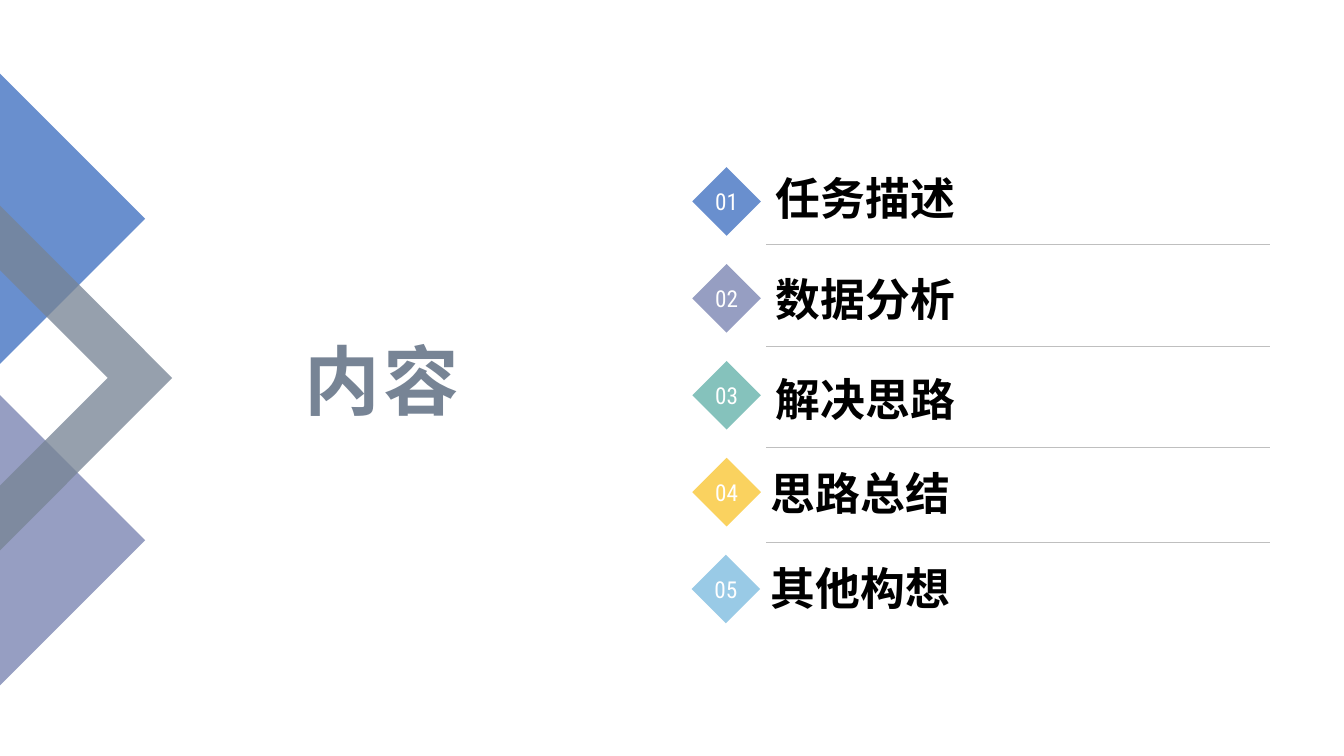
from lxml import etree
from pptx import Presentation
from pptx.dml.color import RGBColor
from pptx.enum.shapes import MSO_CONNECTOR, MSO_SHAPE
from pptx.enum.text import MSO_ANCHOR, MSO_AUTO_SIZE, PP_ALIGN
from pptx.oxml.ns import qn
from pptx.util import Pt

DIAMOND, STRAIGHT = MSO_SHAPE.DIAMOND, MSO_CONNECTOR.STRAIGHT
MIDDLE, BOTTOM = MSO_ANCHOR.MIDDLE, MSO_ANCHOR.BOTTOM
LEFT, CENTER, RIGHT = PP_ALIGN.LEFT, PP_ALIGN.CENTER, PP_ALIGN.RIGHT
NO_AUTOFIT = MSO_AUTO_SIZE.NONE

COLORS = {
    "blue": "698FCE", "purple": "969EC2", "teal": "85C2BC", "yellow": "FAD25F",
    "sky": "99CAE6", "slate": "778495", "rule": "BFBFBF", "black": "000000",
    "white": "FFFFFF",
}
TITLE = "内容"
# heading, diamond colour, diamond left, heading left, heading top
AGENDA = [
    ("任务描述", "blue", 494.5, 547.2, 140.4),
    ("数据分析", "purple", 494.5, 547.2, 212.4),
    ("解决思路", "teal", 494.5, 547.2, 283.7),
    ("思路总结", "yellow", 494.5, 543.6, 350.6),
    ("其他构想", "sky", 494, 543.6, 419),
]
RULE_TOPS = [174.2, 247, 319.7, 387.4]
RULE_LEFT, RULE_RIGHT = 547.2, 907.2
DIAMOND_TOP, DIAMOND_STEP, DIAMOND_SIZE = 119.4, 69.2, 49
# colour, opacity in percent, corners
EDGE_SHAPES = [
    ("purple", 100, [(0, 489.6), (0, 282.2), (103.7, 385.9)]),
    ("blue", 100, [(0, 52.6), (103.7, 156.2), (0, 259.9)]),
    ("slate", 77, [(123, 270), (0, 393.1), (0, 347), (77, 270), (0, 193), (0, 146.9)]),
]


def rgb(color):
    return RGBColor.from_string(COLORS[color])


def paint(shape, color, opacity=100):
    shape.shadow.inherit = False
    shape.fill.solid()
    shape.fill.fore_color.rgb = rgb(color)
    shape.line.fill.background()
    if opacity < 100:
        fill = shape._element.spPr.find(qn("a:solidFill"))
        etree.SubElement(fill[0], qn("a:alpha"), val=str(opacity * 1000))


def write(shape, text, font, size, color, align, anchor, bold=False, wrap=True):
    """Set one line of styled text and return its run."""
    frame = shape.text_frame
    frame.text = text
    frame.word_wrap = wrap
    frame.auto_size = NO_AUTOFIT
    frame.vertical_anchor = anchor
    paragraph = frame.paragraphs[0]
    paragraph.alignment = align
    run = paragraph.runs[0]
    run.font.name, run.font.size, run.font.bold = font, Pt(size), bold
    run.font.color.rgb = rgb(color)
    return run


def add_edge_shape(shapes, color, opacity, corners):
    points = [(Pt(x), Pt(y)) for x, y in corners]
    builder = shapes.build_freeform(*points[0])
    builder.add_line_segments(points[1:], close=True)
    paint(builder.convert_to_shape(), color, opacity)


def add_title(shapes):
    title = shapes.add_textbox(Pt(121.7), Pt(234.7), Pt(294.5), Pt(72.7))
    run = write(title, TITLE, "Arial", 54, "slate", RIGHT, MIDDLE, bold=True)
    title.text_frame.margin_right = Pt(88)
    run.font._element.set("spc", "300")


def add_agenda_item(shapes, index, heading, color, diamond_left, left, top):
    diamond = shapes.add_shape(
        DIAMOND, Pt(diamond_left), Pt(DIAMOND_TOP + index * DIAMOND_STEP),
        Pt(DIAMOND_SIZE), Pt(DIAMOND_SIZE))
    paint(diamond, color)
    write(diamond, f"{index + 1:02}", "Roboto Condensed", 16.6, "white",
          CENTER, MIDDLE, wrap=False)
    label = shapes.add_textbox(Pt(left), Pt(top), Pt(311.8), Pt(23.8))
    write(label, heading, "Arial", 32, "black", LEFT, BOTTOM, bold=True)


def add_rule(shapes, top):
    rule = shapes.add_connector(
        STRAIGHT, Pt(RULE_LEFT), Pt(top), Pt(RULE_RIGHT), Pt(top))
    rule.line.color.rgb = rgb("rule")
    rule.line.width = Pt(0.25)
    etree.SubElement(rule._element.spPr, qn("a:effectLst"))


def main():
    deck = Presentation()
    deck.slide_width, deck.slide_height = Pt(960), Pt(540)
    shapes = deck.slides.add_slide(deck.slide_layouts[6]).shapes
    for color, opacity, corners in EDGE_SHAPES:
        add_edge_shape(shapes, color, opacity, corners)
    add_title(shapes)
    for index, item in enumerate(AGENDA):
        add_agenda_item(shapes, index, *item)
    for top in RULE_TOPS:
        add_rule(shapes, top)
    deck.save("out.pptx")


if __name__ == "__main__":
    main()
